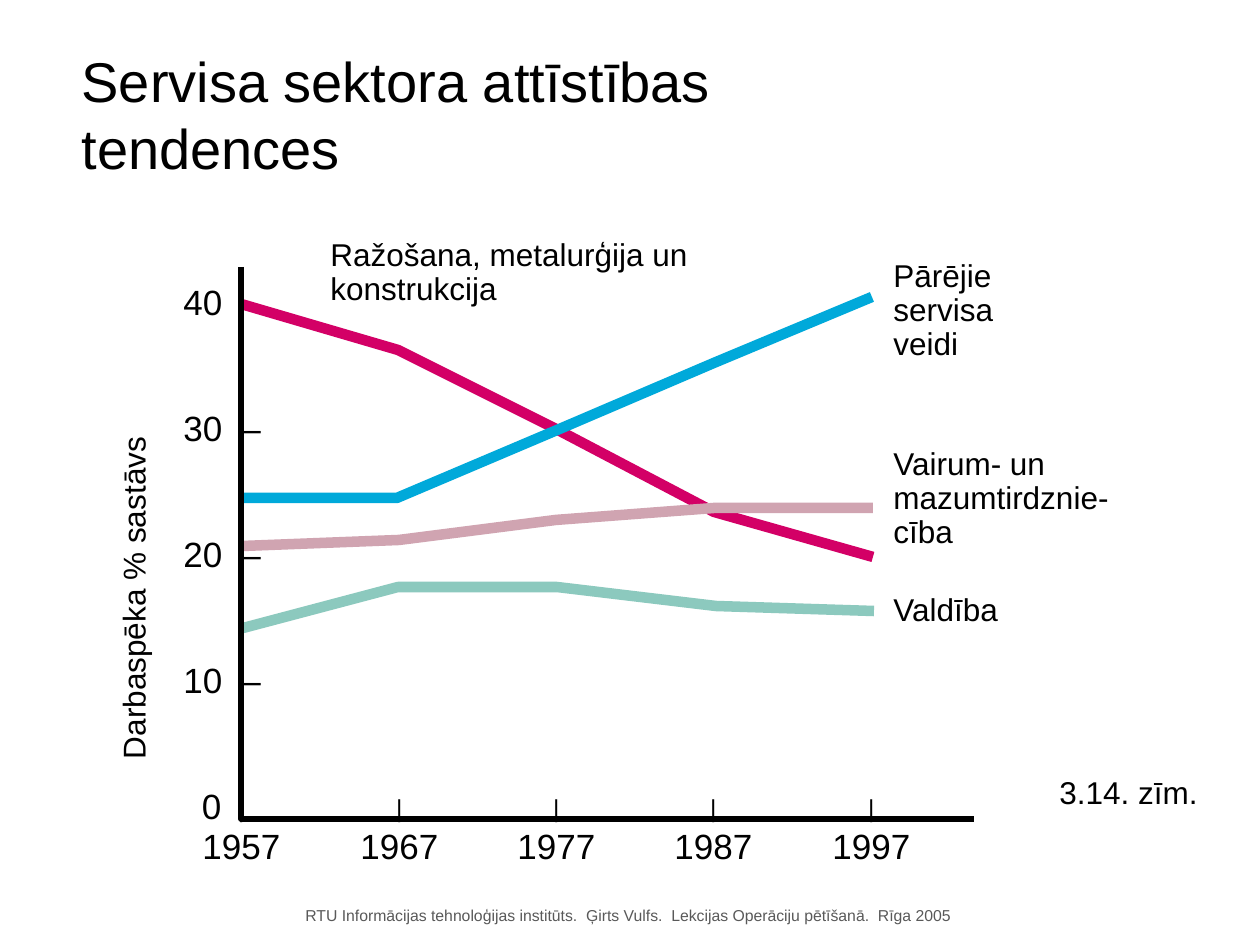
"""Build the slide on trends in the service sector workforce."""
from typing import NamedTuple

from lxml.etree import SubElement
from pptx import Presentation
from pptx.dml.color import RGBColor
from pptx.enum.text import MSO_ANCHOR, MSO_AUTO_SIZE, PP_ALIGN
from pptx.oxml.ns import qn
from pptx.util import Emu, Pt

PIXEL = 914400 / 126
FONT = "Arial"
COLORS = {
    "text": "000000",
    "footer": "595959",
    "manufacturing": "D30066",
    "other_services": "00A9DA",
    "trade": "D0A4B1",
    "government": "8CC9BE",
}


class Box(NamedTuple):
    left: int
    top: int
    width: int
    height: int


class TabStop(NamedTuple):
    position: int
    alignment: str


class Label(NamedTuple):
    text: str
    box: Box
    size: int = 18
    spacing: float = 1.0
    color: str = "text"
    alignment: PP_ALIGN = PP_ALIGN.LEFT
    rotation: int = 0


class Line(NamedTuple):
    color: str
    points: list[tuple[int, int]]
    width: int = 6


LINES = [
    Line("manufacturing", [(241, 304), (398, 350), (556, 429), (714, 512), (873, 557)]),
    Line("other_services", [(242, 498), (397, 498), (555, 431), (714, 363), (872, 297)]),
    Line("trade", [(243, 546), (399, 540), (556, 520), (714, 508), (873, 508)]),
    Line("government", [(243, 628), (398, 587), (557, 587), (716, 606), (874, 611)]),
    Line("text", [(241, 267), (241, 819), (974, 819)], 3),
]
LABELS = [
    Label("Darbaspēka % sastāvs", Box(-57, 573, 380, 50),
          alignment=PP_ALIGN.CENTER, rotation=270),
    Label("Ražošana, metalurģija un konstrukcija", Box(318, 233, 418, 81), spacing=0.9),
    Label("Pārējie servisa veidi", Box(881, 254, 166, 115), spacing=0.9),
    Label("Vairum- un mazumtirdznie-cība", Box(881, 442, 289, 115), spacing=0.9),
    Label("Valdība", Box(881, 588, 140, 47), spacing=0.9),
    Label("3.14. zīm.", Box(1047, 767, 190, 50)),
    Label("RTU Informācijas tehnoloģijas institūts.  Ģirts Vulfs.  "
          "Lekcijas Operāciju pētīšanā.  Rīga 2005", Box(282, 900, 692, 32),
          size=9, color="footer", alignment=PP_ALIGN.CENTER),
]


def px(length: float) -> Emu:
    return Emu(round(length * PIXEL))


def place(shape, box: Box) -> None:
    shape.left, shape.top, shape.width, shape.height = map(px, box)


def add_text_box(slide, box: Box):
    shape = slide.shapes.add_textbox(*map(px, box))
    shape.text_frame.word_wrap = True
    return shape


def write(paragraph, text: str, *, size: int = 18, color: str = "text",
          spacing: float = 1.0, before: float = 0,
          alignment: PP_ALIGN = PP_ALIGN.LEFT, tabs: tuple[TabStop, ...] = ()) -> None:
    if tabs:
        properties = paragraph._p.get_or_add_pPr()
        tab_list = SubElement(properties, qn("a:tabLst"))
        for tab in tabs:
            SubElement(tab_list, qn("a:tab"), pos=str(px(tab.position)), algn=tab.alignment)
    paragraph.alignment = alignment
    paragraph.line_spacing = spacing
    if before:
        paragraph.space_before = Pt(before)
    run = paragraph.add_run()
    run.text = text
    run.font.name = FONT
    run.font.size = Pt(size)
    run.font.color.rgb = RGBColor.from_string(COLORS[color])


def add_label(slide, label: Label) -> None:
    shape = add_text_box(slide, label.box)
    shape.rotation = label.rotation
    write(shape.text_frame.paragraphs[0], label.text, size=label.size, color=label.color,
          spacing=label.spacing, alignment=label.alignment)


def add_line(slide, line: Line) -> None:
    builder = slide.shapes.build_freeform(*line.points[0], scale=PIXEL)
    builder.add_line_segments(line.points[1:], close=False)
    shape = builder.convert_to_shape()
    shape.shadow.inherit = False
    shape.fill.background()
    shape.line.color.rgb = RGBColor.from_string(COLORS[line.color])
    shape.line.width = Pt(line.width)


def add_value_axis(slide) -> None:
    frame = add_text_box(slide, Box(171, 274, 125, 560)).text_frame
    tabs = (TabStop(38, "r"), TabStop(58, "l"))
    for index, value in enumerate(range(40, -1, -10)):
        paragraph = frame.add_paragraph() if index else frame.paragraphs[0]
        write(paragraph, f"\t{value}\t–" if value else "\t0", size=20,
              before=48 if index else 0, tabs=tabs)


def add_year_axis(slide) -> None:
    frame = add_text_box(slide, Box(176, 787, 860, 83)).text_frame
    years = range(1957, 1998, 10)
    tabs = tuple(TabStop(53 + round(157.5 * index), "ctr") for index in range(len(years)))
    write(frame.paragraphs[0], "\t|" * len(years), size=14, tabs=tabs)
    write(frame.add_paragraph(), "".join(f"\t{year}" for year in years),
          size=20, before=1, tabs=tabs)


def main() -> None:
    presentation = Presentation()
    presentation.slide_width, presentation.slide_height = px(1260), px(945)
    slide = presentation.slides.add_slide(presentation.slide_layouts[5])

    title = slide.shapes.title
    place(title, Box(69, 21, 878, 185))
    title.text_frame.auto_size = MSO_AUTO_SIZE.NONE
    title.text_frame.vertical_anchor = MSO_ANCHOR.MIDDLE
    write(title.text_frame.paragraphs[0], "Servisa sektora attīstības tendences", size=32)

    add_value_axis(slide)
    add_year_axis(slide)
    for label in LABELS:
        add_label(slide, label)
    for line in LINES:
        add_line(slide, line)
    presentation.save("out.pptx")


if __name__ == "__main__":
    main()
